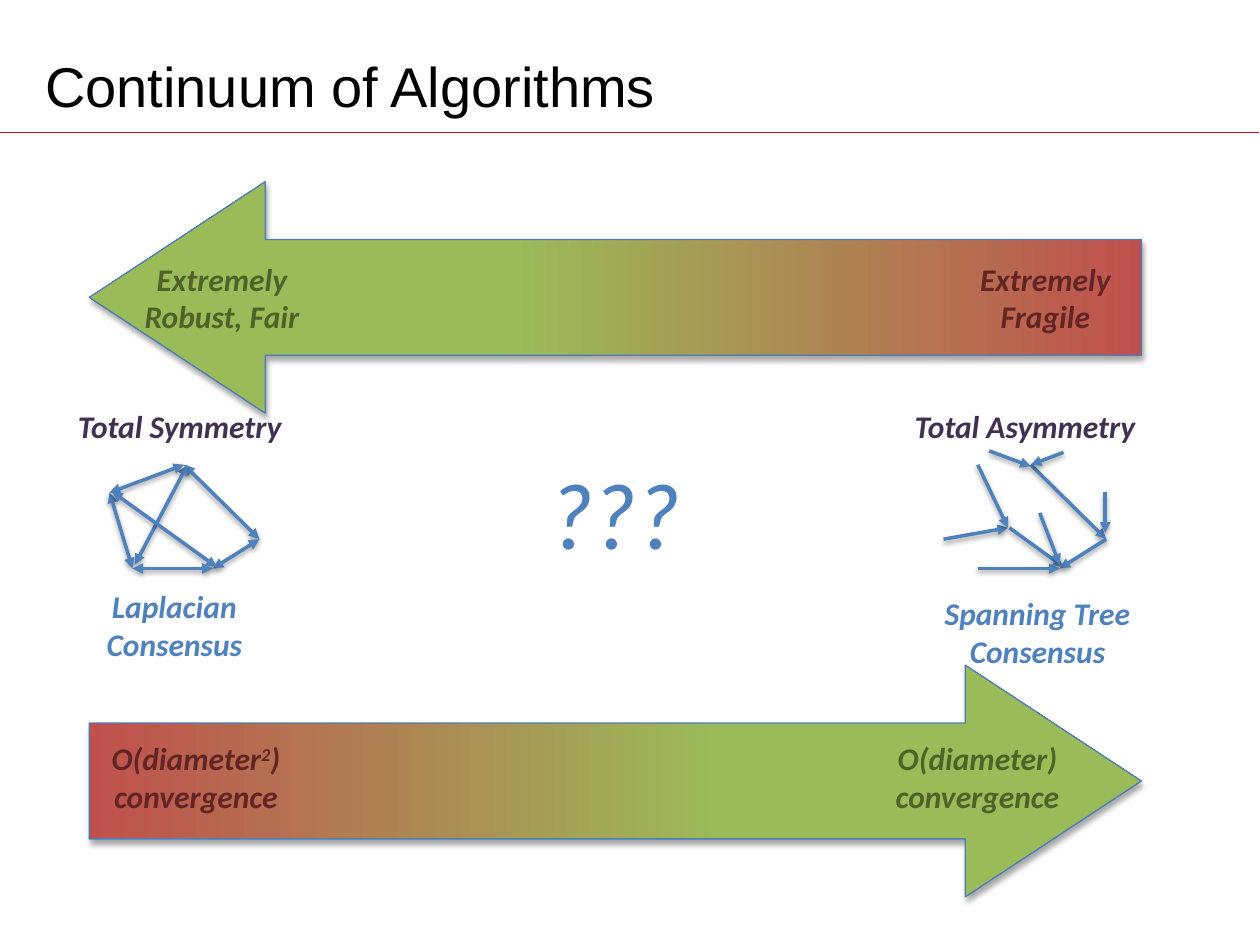
import pptx
import pptx.dml.color
import pptx.enum.dml
import pptx.enum.shapes
import pptx.enum.text
import pptx.oxml
import pptx.oxml.ns
import pptx.util
from dataclasses import dataclass

Cm = pptx.util.Cm
Pt = pptx.util.Pt
ALIGN = pptx.enum.text.PP_ALIGN
ANCHOR = pptx.enum.text.MSO_ANCHOR


@dataclass(frozen=True)
class Theme:
    title_font: str = "Arial"
    body_font: str = "Calibri"
    title_size: int = 32
    label_size: int = 18
    question_size: int = 54
    black: str = "000000"
    rule: str = "CE1126"
    blue: str = "4F81BD"
    outline: str = "4B7EBC"
    red: str = "C0504D"
    green: str = "9BBB59"
    dark_red: str = "632523"
    dark_green: str = "4F6228"
    purple: str = "403152"


THEME = Theme()

# Edges of the two graphs in cm: x1, y1, x2, y2
SYMMETRIC_EDGES = [
    (3.71, 9.37, 5.23, 10.87), (2.72, 11.38, 3.78, 9.37),
    (2.21, 9.93, 2.67, 11.46), (2.21, 9.93, 3.71, 9.37),
    (5.23, 10.87, 4.29, 11.46), (2.26, 9.91, 4.37, 11.43),
    (2.67, 11.46, 4.29, 11.46),
]
TREE_EDGES = [
    (20.78, 9.37, 22.3, 10.87), (21.44, 9.12, 20.78, 9.37),
    (22.3, 10.87, 21.36, 11.46), (20.35, 10.64, 21.44, 11.43),
    (19.71, 11.46, 21.36, 11.46), (22.28, 9.91, 22.28, 10.74),
    (19.02, 10.87, 20.32, 10.64), (19.71, 9.37, 20.32, 10.64),
    (20.96, 10.34, 21.36, 11.38), (19.94, 9.09, 20.78, 9.4),
]


def rgb(value):
    return pptx.dml.color.RGBColor.from_string(value)


def add_effects(sp, alpha=0, dist=0):
    """Give a shape a soft downward shadow, or none when alpha is 0."""
    shadow = (
        f'<a:outerShdw blurRad="{Pt(3.1)}" dist="{Pt(dist)}" dir="5400000" rotWithShape="0">'
        f'<a:srgbClr val="{THEME.black}"><a:alpha val="{alpha * 1000}"/></a:srgbClr>'
        '</a:outerShdw>'
    ) if alpha else ""
    sp._element.spPr.append(pptx.oxml.parse_xml(
        f'<a:effectLst {pptx.oxml.ns.nsdecls("a")}>{shadow}</a:effectLst>'))


def add_text(s, text, x, y, w, h, color=THEME.blue, size=THEME.label_size,
             font=THEME.body_font, bold=True, italic=True, align=ALIGN.CENTER,
             anchor=ANCHOR.TOP, wrap=False):
    """Add a text box; each line is a paragraph, and ^...^ marks a superscript."""
    tf = s.shapes.add_textbox(Cm(x), Cm(y), Cm(w), Cm(h)).text_frame
    tf.word_wrap = wrap
    tf.vertical_anchor = anchor
    if not wrap:
        tf.auto_size = pptx.enum.text.MSO_AUTO_SIZE.SHAPE_TO_FIT_TEXT
    for i, line in enumerate(text.split("\n")):
        p = tf.add_paragraph() if i else tf.paragraphs[0]
        p.alignment = align
        for j, part in enumerate(line.split("^")):
            r = p.add_run()
            r.text = part
            r.font.name, r.font.size = font, Pt(size)
            r.font.bold, r.font.italic = bold, italic
            r.font.color.rgb = rgb(color)
            if j % 2:
                r._r.get_or_add_rPr().set("baseline", "30000")


def add_line(shapes, x1, y1, x2, y2, color, width, ends=()):
    line = shapes.add_connector(pptx.enum.shapes.MSO_CONNECTOR.STRAIGHT,
                                Cm(x1), Cm(y1), Cm(x2), Cm(y2))
    line.line.color.rgb = rgb(color)
    line.line.width = Pt(width)
    for end in ends:
        line.line._get_or_add_ln().append(pptx.oxml.parse_xml(
            f'<a:{end} {pptx.oxml.ns.nsdecls("a")} type="triangle"/>'))
    return line


def add_graph(s, edges, ends):
    group = s.shapes.add_group_shape()
    for edge in edges:
        line = add_line(group.shapes, *edge, THEME.blue, 2, ends)
        add_effects(line, alpha=38, dist=1.6)


def add_gradient_arrow(s, y, rotation=0):
    sp = s.shapes.add_shape(pptx.enum.shapes.MSO_SHAPE.RIGHT_ARROW,
                            Cm(1.8), Cm(y), Cm(21.21), Cm(4.67))
    sp.rotation = rotation
    sp.adjustments[0], sp.adjustments[1] = 0.5, 0.76
    sp.fill.gradient()
    sp.fill.gradient_angle = 0
    stops = ((0, THEME.red), (0.6, THEME.green))
    for stop, (position, color) in zip(sp.fill.gradient_stops, stops):
        stop.position = position
        stop.color.rgb = rgb(color)
    sp.line.color.rgb = rgb(THEME.outline)
    sp.line.width = Pt(0.75)
    add_effects(sp, alpha=35, dist=1.8)


def main():
    prs = pptx.Presentation()
    prs.slide_width, prs.slide_height = Cm(25.4), Cm(19.05)
    s = prs.slides.add_slide(prs.slide_layouts[6])

    # Title and rule
    add_effects(add_line(s.shapes, 0, 2.67, 25.37, 2.67, THEME.rule, 1))
    add_text(s, "Continuum of Algorithms", 0.66, 0.76, 22.86, 1.9,
             color=THEME.black, size=THEME.title_size, font=THEME.title_font,
             bold=False, italic=False, align=ALIGN.LEFT,
             anchor=ANCHOR.MIDDLE, wrap=True)

    # Convergence and robustness arrows
    add_gradient_arrow(s, 13.41)
    add_gradient_arrow(s, 3.66, rotation=180)

    # Two-line labels
    for text, x, y, w, color in (
        ("Extremely\nRobust, Fair", 2.57, 5.11, 3.81, THEME.dark_green),
        ("Extremely\nFragile", 19.41, 5.11, 3.33, THEME.dark_red),
        ("Laplacian\nConsensus", 1.8, 11.71, 3.43, THEME.blue),
        ("Spanning Tree\nConsensus", 18.69, 11.86, 4.45, THEME.blue),
        ("O(diameter^2^)\nconvergence", 1.88, 14.78, 4.14, THEME.dark_red),
        ("O(diameter)\nconvergence", 17.7, 14.78, 4.01, THEME.dark_green),
    ):
        add_text(s, text, x, y, w, 1.8, color=color)

    # Graphs and their headings
    add_graph(s, SYMMETRIC_EDGES, ("headEnd", "tailEnd"))
    add_graph(s, TREE_EDGES, ("tailEnd",))
    for text, x, w in (("Total Symmetry", 1.32, 4.83), ("Total Asymmetry", 18.19, 5.16)):
        add_text(s, text, x, 8.08, w, 1.02, color=THEME.purple, align=ALIGN.LEFT)

    # Open question in the middle
    add_text(s, "???", 10.82, 9.04, 3.66, 2.57, size=THEME.question_size,
             bold=False, align=ALIGN.LEFT)

    prs.save("out.pptx")


if __name__ == "__main__":
    main()
